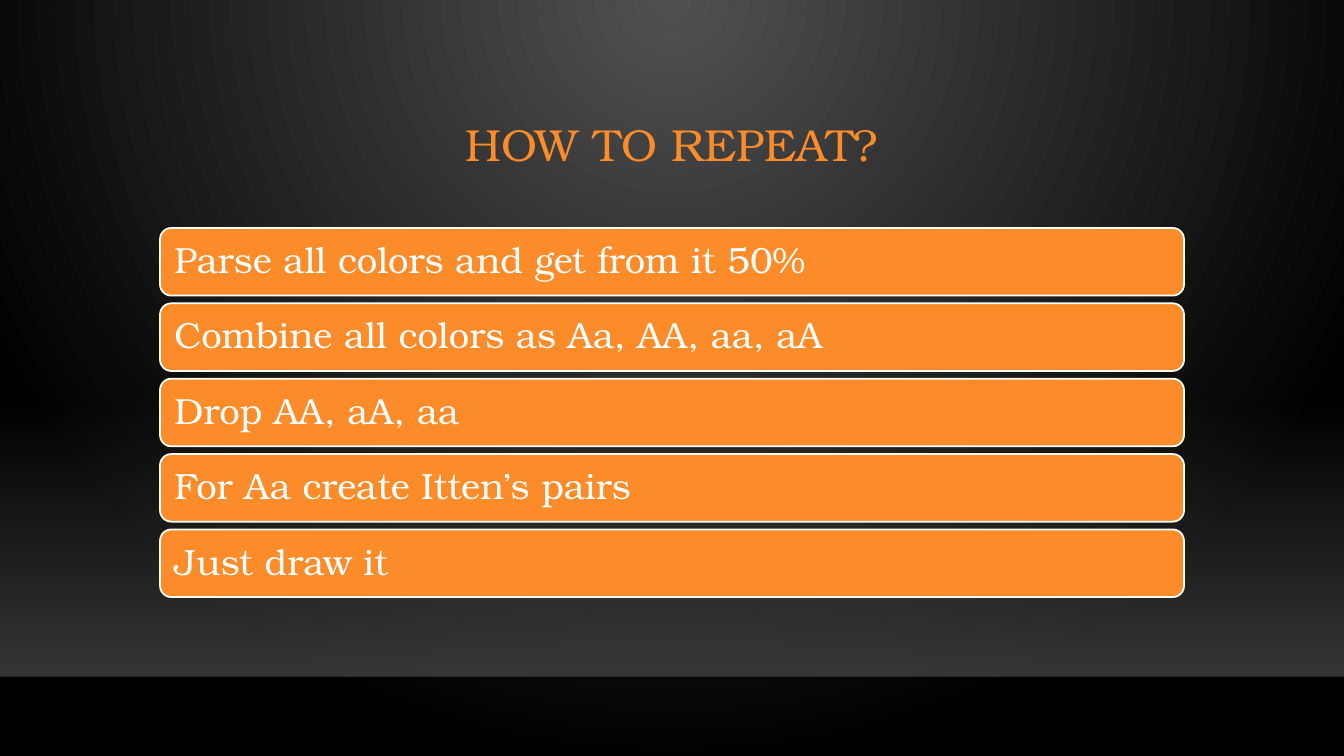
"""Build the "How to repeat?" slide: a title above five step bars on a dark stage."""
from typing import NamedTuple

from pptx import Presentation
from pptx.dml.color import RGBColor
from pptx.enum.shapes import MSO_CONNECTOR, MSO_SHAPE
from pptx.enum.text import MSO_ANCHOR, MSO_AUTO_SIZE, PP_ALIGN
from pptx.oxml import parse_xml
from pptx.oxml.ns import nsdecls, qn
from pptx.util import Inches, Pt

RECTANGLE, ROUNDED = MSO_SHAPE.RECTANGLE, MSO_SHAPE.ROUNDED_RECTANGLE
STRAIGHT = MSO_CONNECTOR.STRAIGHT
MIDDLE = MSO_ANCHOR.MIDDLE
NO_AUTOFIT = MSO_AUTO_SIZE.NONE
LEFT, CENTER = PP_ALIGN.LEFT, PP_ALIGN.CENTER

SLIDE_WIDTH, SLIDE_HEIGHT = Inches(13.33), Inches(7.5)
COLUMNS, ROWS = 84, 100
FONT = "TeX Gyre Bonum"
ORANGE, WHITE = "FB8C29", "FFFFFF"
FLOOR_ROW = 89.47
FIRST_STEP_ROW, STEP_PITCH, STEP_HEIGHT = 30.15, 9.97, 8.95
STEPS = (
    "Parse all colors and get from it 50%",
    "Combine all colors as Aa, AA, aa, aA",
    "Drop AA, aA, aa",
    "For Aa create Itten’s pairs",
    "Just draw it",
)


class Box(NamedTuple):
    """A place on the slide grid, in columns and rows."""

    column: float
    row: float
    width: float
    height: float

    def lengths(self) -> tuple[int, int, int, int]:
        """Return left, top, width and height as slide lengths."""
        return (
            round(SLIDE_WIDTH * self.column / COLUMNS),
            round(SLIDE_HEIGHT * self.row / ROWS),
            round(SLIDE_WIDTH * self.width / COLUMNS),
            round(SLIDE_HEIGHT * self.height / ROWS),
        )


class Stop(NamedTuple):
    """One gradient stop, with position and opacity in percent."""

    position: int
    color: str
    opacity: int = 100


def rgb(color: str) -> RGBColor:
    """Turn a hex string into a colour."""
    return RGBColor.from_string(color)


def set_gradient(fill, element, stops: tuple[Stop, ...], direction: str) -> None:
    """Give a fill inside the element its gradient stops and direction."""
    fill.gradient()
    stop_list = "".join(
        f'<a:gs pos="{stop.position * 1000}"><a:srgbClr val="{stop.color}">'
        f'<a:alpha val="{stop.opacity * 1000}"/></a:srgbClr></a:gs>'
        for stop in stops
    )
    gradient = parse_xml(
        f'<a:gradFill {nsdecls("a")} rotWithShape="1">'
        f"<a:gsLst>{stop_list}</a:gsLst>{direction}</a:gradFill>"
    )
    previous = element.find(f".//{qn('a:gradFill')}")
    previous.getparent().replace(previous, gradient)


def write_text(shape, text: str, *, size: float, color: str, align, inset: float = 0.1) -> None:
    """Write one formatted paragraph into a shape."""
    frame = shape.text_frame
    frame.word_wrap = True
    frame.auto_size = NO_AUTOFIT
    frame.vertical_anchor = MIDDLE
    frame.margin_left = frame.margin_right = Inches(inset)
    frame.margin_top = frame.margin_bottom = Inches(0.05)
    paragraph = frame.paragraphs[0]
    paragraph.text = text
    paragraph.alignment = align
    paragraph.line_spacing = 0.9
    paragraph.font.size = Pt(size)
    paragraph.font.name = FONT
    paragraph.font.color.rgb = rgb(color)


def draw_stage(slide) -> None:
    """Draw the background, the glow above the floor and the floor line."""
    set_gradient(
        slide.background.fill,
        slide.element,
        (Stop(0, "505050"), Stop(100, "000000")),
        '<a:path path="circle"><a:fillToRect l="43000" t="0" r="43000" b="100000"/></a:path>',
    )
    glow_row = 52.8
    glow_box = Box(0, glow_row, COLUMNS, FLOOR_ROW - glow_row)
    glow = slide.shapes.add_shape(RECTANGLE, *glow_box.lengths())
    glow.shadow.inherit = False
    glow.line.fill.background()
    set_gradient(
        glow.fill,
        glow.element,
        (Stop(0, "454545", 0), Stop(100, "454545", 80)),
        '<a:lin ang="5400000" scaled="0"/>',
    )
    left, top, width, _ = Box(0, FLOOR_ROW, COLUMNS, 0).lengths()
    floor = slide.shapes.add_connector(STRAIGHT, left, top, left + width, top)
    floor.line.color.rgb = rgb("000001")
    floor.line.width = Pt(1)
    color = floor.element.spPr.find(f".//{qn('a:srgbClr')}")
    color.append(parse_xml(f'<a:alpha {nsdecls("a")} val="20000"/>'))
    floor.element.spPr.append(parse_xml(f'<a:effectLst {nsdecls("a")}/>'))


def draw_title(slide) -> None:
    """Place and format the title."""
    title = slide.shapes.title
    title.left, title.top, title.width, title.height = Box(10, 11.73, 64, 15.33).lengths()
    write_text(title, "HOW TO REPEAT?", size=32, color=ORANGE, align=CENTER)


def draw_step(slide, box: Box, text: str) -> None:
    """Draw one step as a rounded bar with its text."""
    bar = slide.shapes.add_shape(ROUNDED, *box.lengths())
    bar.shadow.inherit = False
    bar.fill.solid()
    bar.fill.fore_color.rgb = rgb(ORANGE)
    bar.line.color.rgb = rgb(WHITE)
    bar.line.width = Pt(1.25)
    write_text(bar, text, size=26, color=WHITE, align=LEFT, inset=0.11)


def main() -> None:
    """Build and save the presentation."""
    presentation = Presentation()
    presentation.slide_width, presentation.slide_height = SLIDE_WIDTH, SLIDE_HEIGHT
    slide = presentation.slides.add_slide(presentation.slide_layouts[5])
    draw_stage(slide)
    draw_title(slide)
    for index, text in enumerate(STEPS):
        row = FIRST_STEP_ROW + index * STEP_PITCH
        draw_step(slide, Box(10, row, 64, STEP_HEIGHT), text)
    presentation.save("out.pptx")


if __name__ == "__main__":
    main()
